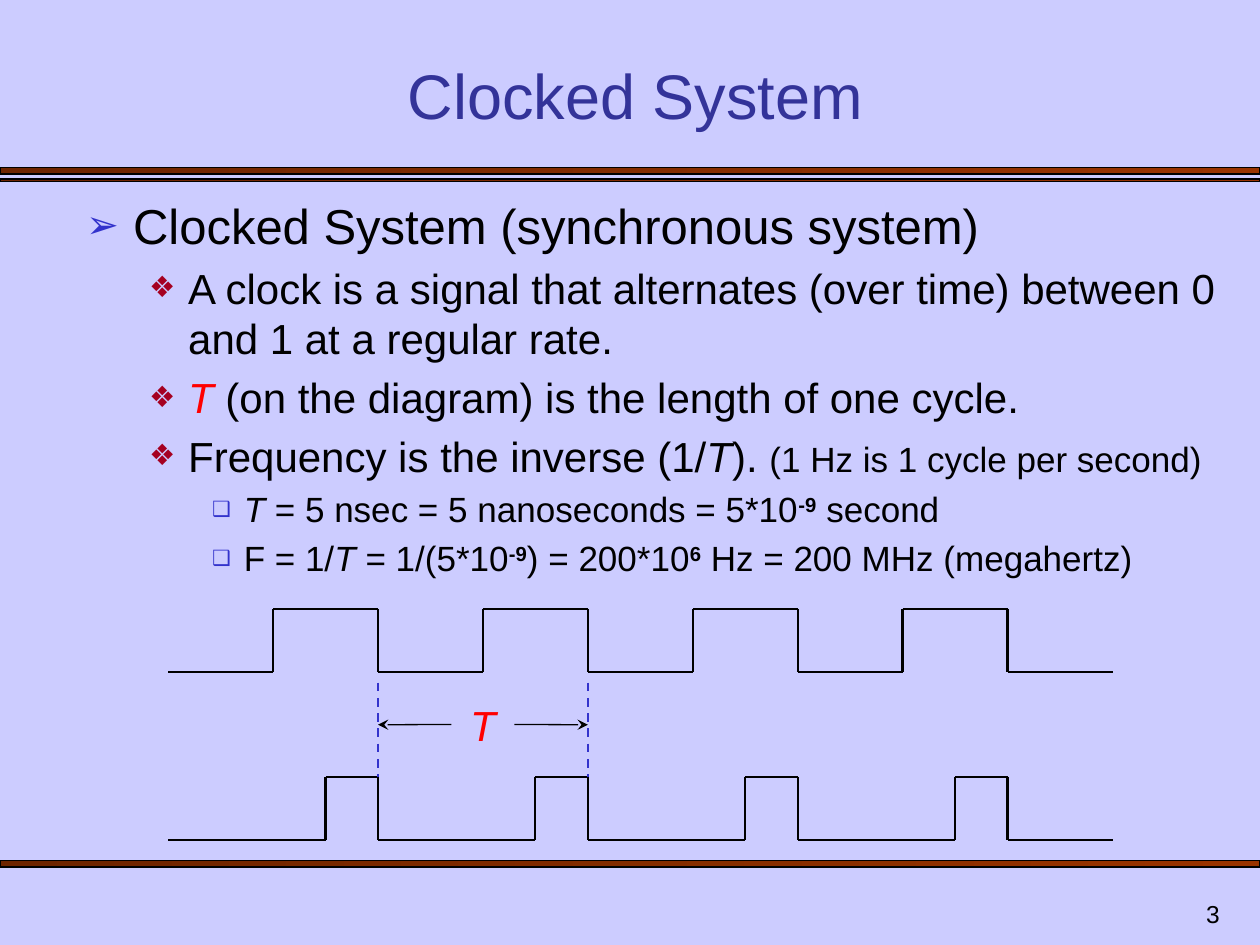
import pptx
import pptx.util
import pptx.dml.color
import pptx.enum.dml
import pptx.enum.shapes
import pptx.enum.text
import pptx.oxml
import pptx.oxml.ns
from pptx.util import Cm, Pt

ALIGN = pptx.enum.text.PP_ALIGN
ANCHOR = pptx.enum.text.MSO_ANCHOR
FIT = pptx.enum.text.MSO_AUTO_SIZE

BULLETS = [
    ("➢", "3333CC", 80, 0.95, 0.95, 28),
    ("❖", "A50021", 70, 2.06, 0.79, 24),
    ("❑", "3333CC", 60, 3.18, 0.64, 20),
]

POINTS = [
    (0, [("Clocked System (synchronous system)", "")]),
    (1, [("A clock is a signal that alternates (over time) between 0 and 1 at a regular rate.", "")]),
    (1, [("T", "italic red"), (" (on the diagram) is the length of one cycle.", "")]),
    (1, [("Frequency is the inverse (1/", ""), ("T", "italic"), ("). ", ""),
         ("(1 Hz is 1 cycle per second)", "small")]),
    (2, [("T", "italic"), (" = 5 nsec = 5 nanoseconds = 5*10", ""), ("-9", "super"), (" second", "")]),
    (2, [("F = 1/", ""), ("T", "italic"), (" = 1/(5*10", ""), ("-9", "super"), (") = 200*10", ""),
         ("6", "super"), (" Hz = 200 MHz (megahertz)", "")]),
]


def rgb(code):
    return pptx.dml.color.RGBColor.from_string(code)


def node(parent, tag, **attrs):
    child = parent.makeelement(pptx.oxml.ns.qn(tag), attrs)
    parent.append(child)
    return child


class Deck:
    font = "Arial"
    black = "000000"
    red = "FF0000"

    def __init__(self):
        self.file = pptx.Presentation()
        self.file.slide_width, self.file.slide_height = Cm(25.4), Cm(19.05)
        self.slide = self.file.slides.add_slide(self.file.slide_layouts[1])
        self.shapes = self.slide.shapes
        fill = self.slide.background.fill
        fill.solid()
        fill.fore_color.rgb = rgb("CCCCFF")

    def place(self, shape, left, top, width, height):
        shape.left, shape.top = Cm(left), Cm(top)
        shape.width, shape.height = Cm(width), Cm(height)

    def style(self, run, size, color, italic=False):
        run.font.name = self.font
        run.font.size = Pt(size)
        run.font.color.rgb = rgb(color)
        run.font.italic = italic

    def words(self, shape, text, size, color, align, anchor, fit=FIT.NONE, italic=False):
        frame = shape.text_frame
        frame.word_wrap = True
        frame.auto_size = fit
        frame.vertical_anchor = anchor
        frame.text = text
        para = frame.paragraphs[0]
        para.alignment = align
        self.style(para.runs[0], size, color, italic)

    def title(self, text, *area):
        shape = self.shapes.title
        self.place(shape, *area)
        self.words(shape, text, 36, "333399", ALIGN.CENTER, ANCHOR.BOTTOM)

    def label(self, text, size, color, align, anchor, *area, **extra):
        box = self.shapes.add_textbox(*map(Cm, area))
        self.words(box, text, size, color, align, anchor, **extra)
        return box

    def list(self, points, *area):
        shape = self.slide.placeholders[1]
        self.place(shape, *area)
        frame = shape.text_frame
        frame.auto_size = FIT.NONE
        for index, (level, parts) in enumerate(points):
            para = frame.add_paragraph() if index else frame.paragraphs[0]
            para.level = level
            self.bullet(para, level)
            for text, look in parts:
                run = para.add_run()
                run.text = text
                size = 20 if "small" in look else BULLETS[level][-1]
                color = self.red if "red" in look else self.black
                self.style(run, size, color, "italic" in look)
                if "super" in look:
                    run.font.bold = True
                    run._r.get_or_add_rPr().set("baseline", "30000")

    def bullet(self, para, level):
        mark, color, scale, indent, hang, _ = BULLETS[level]
        props = para._p.get_or_add_pPr()
        props.set("marL", str(Cm(indent)))
        props.set("indent", str(-Cm(hang)))
        node(node(props, "a:buClr"), "a:srgbClr", val=color)
        node(props, "a:buSzPct", val=str(scale * 1000))
        node(props, "a:buFont", typeface=self.font)
        node(props, "a:buChar", char=mark)

    def bar(self, top, height):
        kind = pptx.enum.shapes.MSO_SHAPE.RECTANGLE
        shape = self.shapes.add_shape(kind, 0, Cm(top), self.file.slide_width, Cm(height))
        shape.shadow.inherit = False
        shape.fill.gradient()
        shape.fill.gradient_angle = 0
        for stop, color in zip(shape.fill.gradient_stops, ("6D2400", "993300")):
            stop.color.rgb = rgb(color)
        shape.line.color.rgb = rgb(self.black)
        shape.line.width = Pt(0.75)

    def line(self, start, end, color=black, width=1.25, dash=False):
        kind = pptx.enum.shapes.MSO_CONNECTOR.STRAIGHT
        line = self.shapes.add_connector(kind, *map(Cm, start + end))
        line.line.color.rgb = rgb(color)
        line.line.width = Pt(width)
        if dash:
            line.line.dash_style = pptx.enum.dml.MSO_LINE.DASH
        node(line._element.spPr, "a:effectLst")
        return line

    def arrow(self, box, side, start, end):
        line = self.line(start, end, width=0.75)
        line.begin_connect(box, side)
        node(line.line._get_or_add_ln(), "a:tailEnd", type="stealth")

    def wave(self, left, right, falls, pulse, high, low):
        dots = [(left, low)]
        for fall in falls:
            rise = fall - pulse
            dots += [(rise, low), (rise, high), (fall, high), (fall, low)]
        dots.append((right, low))
        for start, end in zip(dots, dots[1:]):
            self.line(start, end)


def main():
    deck = Deck()
    for top, height in ((3.38, 0.13), (3.61, 0.05), (17.35, 0.13)):
        deck.bar(top, height)
    deck.label("3", 14, deck.black, ALIGN.RIGHT, ANCHOR.BOTTOM, 19.56, 17.78, 5.28, 1.07)
    deck.title("Clocked System", 1.48, 1.06, 22.65, 1.73)
    deck.list(POINTS, 1.48, 3.81, 23.28, 12.5)

    cycle = 4.23
    falls = [7.62 + cycle * step for step in range(4)]
    for share, high in ((2, 12.28), (4, 15.66)):
        deck.wave(3.39, 22.44, falls, cycle / share, high, high + 1.27)
    for fall in falls[:2]:
        deck.line((fall, 13.76), (fall, 15.66), "3333CC", dash=True)

    mid = 14.61
    box = deck.label("T", 24, deck.red, ALIGN.CENTER, ANCHOR.TOP, 9.1, 13.97, 1.27, 1.27,
                     fit=FIT.SHAPE_TO_FIT_TEXT, italic=True)
    deck.arrow(box, 3, (10.37, mid), (falls[1], mid))
    deck.arrow(box, 1, (9.1, mid), (falls[0], mid))
    deck.file.save("out.pptx")


if __name__ == "__main__":
    main()
